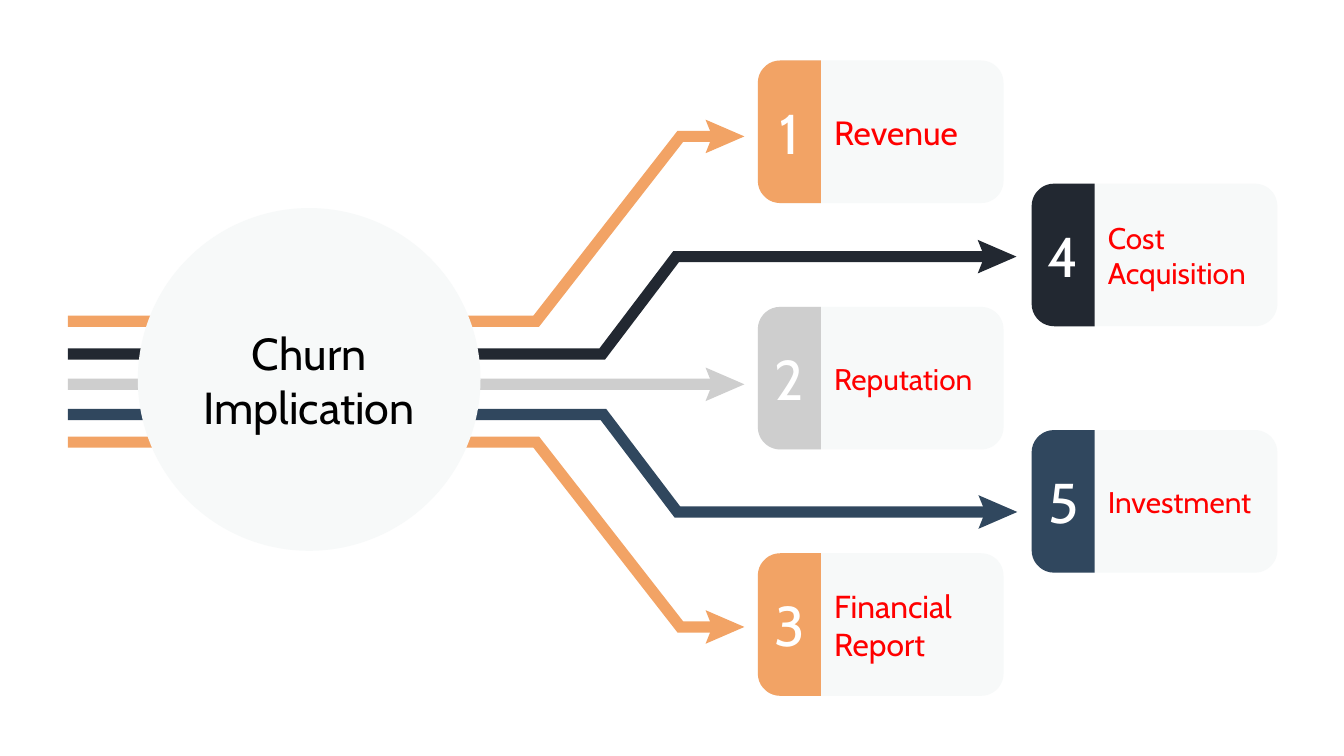
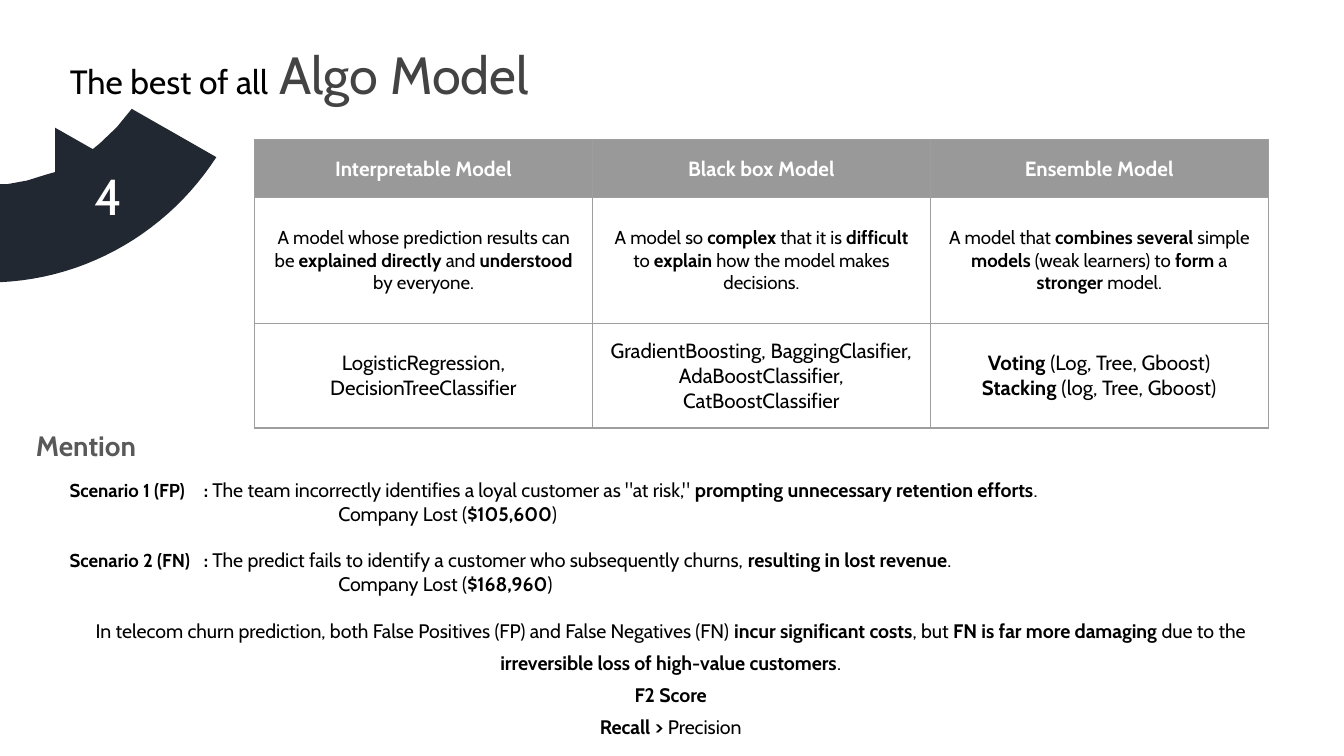
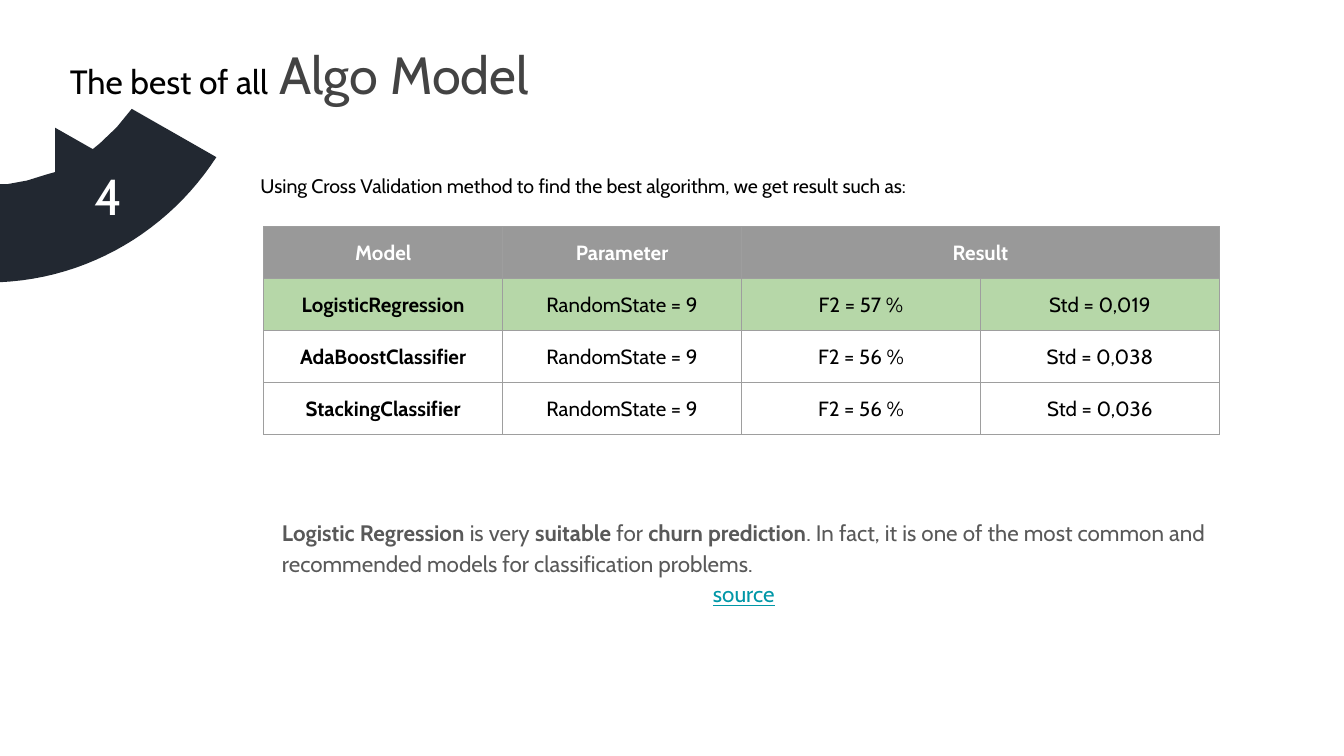
import math
from pptx import Presentation
from pptx.dml import color as dml
from pptx.enum import shapes, text
from pptx.oxml import parse_xml
from pptx.oxml import ns
from pptx.util import Pt

FONT = "Cabin"
ORANGE, DARK, NAVY, SILVER = "F2A365", "222831", "30475E", "CECECE"
PALE, BLACK, WHITE, GRAY, RED = "F7F9F9", "000000", "FFFFFF", "595959", "FF0000"
HEADER, GREEN, BORDER, TEAL = "999999", "B6D7A8", "9E9E9E", "0097A7"
LEFT, CENTER, JUSTIFY = (text.PP_ALIGN.LEFT, text.PP_ALIGN.CENTER,
                         text.PP_ALIGN.JUSTIFY)
TOP, MIDDLE = text.MSO_ANCHOR.TOP, text.MSO_ANCHOR.MIDDLE


def set_color(fill, value):
    fill.solid()
    fill.fore_color.rgb = dml.RGBColor.from_string(value)


def write(holder, lines, size, color, align=LEFT, anchor=MIDDLE, spacing=None):
    """Fill a text frame or table cell; ** switches bold on and off."""
    sides = ("margin_left", "margin_right", "margin_top", "margin_bottom")
    box_format = {"vertical_anchor": anchor, **{side: Pt(7.2) for side in sides}}
    for name, value in box_format.items():
        setattr(holder, name, value)
    frame = getattr(holder, "text_frame", holder)
    frame.word_wrap = True
    for index, line in enumerate(lines):
        paragraph = frame.add_paragraph() if index else frame.paragraphs[0]
        paragraph.alignment = align
        paragraph.line_spacing = spacing
        for part, words in enumerate(line.split("**")):
            if not words:
                continue
            run = paragraph.add_run()
            run.text = words
            run_format = {"name": FONT, "size": Pt(size), "bold": part % 2 == 1}
            for name, value in run_format.items():
                setattr(run.font, name, value)
            set_color(run.font.fill, color)


presentation = Presentation()
presentation.slide_width, presentation.slide_height = Pt(720), Pt(405)
TITLE_ONLY, BLANK = presentation.slide_layouts[5], presentation.slide_layouts[6]
filled = []  # (shape, colour) pairs, painted together at the end

# Slide 1: streams through the circle; each row is 66 pt below the last
slide = presentation.slides.add_slide(BLANK)
# number, label, label size, colour, column, row, stream level, arrow level, bends, end
streams = [
    ("2", "Reputation", 16, SILVER, 0, 2, 205.9, 205.9, 285.8, 363, 384.6),
    ("1", "Revenue", 18, ORANGE, 0, 0, 172.1, 73.1, 285.8, 363, 384.6),
    ("4", "Cost Acquisition", 16, DARK, 1, 1, 189.7, 137.5, 321.1, 360.7, 530.4),
    ("5", "Investment", 16, NAVY, 1, 3, 222.1, 274.3, 321.8, 361.4, 530.8),
    ("3", "Financial Report", 17, ORANGE, 0, 4, 236.9, 335.9, 285.8, 363, 384.6),
]
for *_, color, column, row, level, target, bend, turn, end in streams:
    half = 3 if target > level else -3
    band = [(turn, target + half), (bend, level + half), (36.4, level + half),
            (36.4, level - half), (bend + 3, level - half),
            (turn + 3, target - half), (end, target - half), (end, target + half)]
    head = [(end - 6.6, target - 9), (end - 3, target),
            (end - 6.6, target + 9), (end + 14.2, target)]
    for outline in (band, head):
        points = [(Pt(x), Pt(y)) for x, y in outline]
        builder = slide.shapes.build_freeform(*points[0])
        builder.add_line_segments(points[1:])
        filled.append((builder.convert_to_shape(), color))

circle = slide.shapes.add_shape(
    shapes.MSO_SHAPE.OVAL, Pt(73.8), Pt(111.5), Pt(183.6), Pt(183.6))
filled.append((circle, PALE))
write(circle.text_frame, ["Churn Implication"], 24, BLACK, CENTER)

# Numbered cards
card_width, card_height, tab_width, radius = 131.6, 76.4, 33.8, 12
for number, label, size, color, column, row, *_ in streams:
    x, y = 406 + 146.7 * column, 32.4 + 66 * row
    card = slide.shapes.add_shape(shapes.MSO_SHAPE.ROUNDED_RECTANGLE,
                                  Pt(x), Pt(y), Pt(card_width), Pt(card_height))
    card.adjustments[0] = radius / card_height
    filled.append((card, PALE))

    outline = [(x + tab_width, y)]
    for first_angle, center_y in ((270, y + radius), (180, y + card_height - radius)):
        for step in range(0, 91, 10):
            angle = math.radians(first_angle - step)
            outline.append((x + radius + radius * math.cos(angle),
                            center_y + radius * math.sin(angle)))
    outline.append((x + tab_width, y + card_height))
    points = [(Pt(px), Pt(py)) for px, py in outline]
    builder = slide.shapes.build_freeform(*points[0])
    builder.add_line_segments(points[1:])
    tab = builder.convert_to_shape()
    filled.append((tab, color))
    write(tab.text_frame, [number], 30, WHITE, CENTER)

    caption = slide.shapes.add_textbox(Pt(x + tab_width), Pt(y),
                                       Pt(card_width - tab_width), Pt(card_height))
    write(caption.text_frame, [label], size, RED)

# Slides 2 and 3: shared title and numbered ring segment
curve = [(0, 151.2), (48.2, 149), (90.7, 123.1), (115.9, 84.2)]
ring = []
for step in range(25):
    t = step / 24
    weights = [math.comb(3, k) * t ** k * (1 - t) ** (3 - k) for k in range(4)]
    ring.append(tuple(sum(w * point[axis] for w, point in zip(weights, curve))
                      for axis in (0, 1)))
ring += [(70.6, 58.3), (62.5, 68.2), (53.3, 77), (49.7, 79.9), (29.5, 68.4),
         (29.5, 92.2), (24.5, 93.6), (14.6, 96.7), (4.3, 98.6), (0, 98.6)]
ring_points = [(Pt(x), Pt(y)) for x, y in ring]

model_slides = [presentation.slides.add_slide(TITLE_ONLY) for _ in range(2)]
for slide in model_slides:
    title = slide.shapes.title
    place = {"left": 30.2, "top": 20.2, "width": 608.4, "height": 38.2}
    for name, value in place.items():
        setattr(title, name, Pt(value))
    title.text_frame.auto_size = text.MSO_AUTO_SIZE.NONE
    write(title.text_frame, ["The best of all"], 18, BLACK)
    topic = title.text_frame.paragraphs[0].add_run()
    topic.text = " Algo Model"
    topic.font.name, topic.font.size = FONT, Pt(28)
    set_color(topic.font.fill, "434343")

    builder = slide.shapes.build_freeform(*ring_points[0])
    builder.add_line_segments(ring_points[1:])
    segment = builder.convert_to_shape()
    filled.append((segment, DARK))
    write(segment.text_frame, ["4"], 27, WHITE, CENTER)

for shape, color in filled:
    set_color(shape.fill, color)
    shape.line.fill.background()
    shape.shadow.inherit = False

# Tables: left, top, column width, row heights, text sizes, row fills, cell texts
model_types = [
    ["**Interpretable Model", "**Black box Model", "**Ensemble Model"],
    ["A model whose prediction results can be **explained directly **and "
     "**understood **by everyone.",
     "A model so **complex **that it is **difficult **to **explain **how the "
     "model makes decisions.",
     "A model that **combines several **simple **models **(weak learners) to "
     "**form **a **stronger **model."],
    ["LogisticRegression, DecisionTreeClassifier",
     "GradientBoosting, BaggingClasifier, AdaBoostClassifier, CatBoostClassifier",
     "**Voting **(Log, Tree, Gboost)\n**Stacking **(log, Tree, Gboost)"],
]
results = [
    ["**Model", "**Parameter", "**Result", ""],
    ["**LogisticRegression", "RandomState = 9", "F2 = 57 %", "Std = 0,019"],
    ["**AdaBoostClassifier", "RandomState = 9", "F2 = 56 %", "Std = 0,038"],
    ["**StackingClassifier", "RandomState = 9", "F2 = 56 %", "Std = 0,036"],
]
table_plans = [
    (136.4, 74.9, 181, [31, 67.6, 55.8], [11, 10, 11],
     [HEADER, None, None], model_types),
    (141.3, 121.4, 128, [18.7, 26, 26, 26], [11] * 4,
     [HEADER, GREEN, None, None], results),
]
for slide, plan in zip(model_slides, table_plans):
    left, top, column_width, heights, sizes, fills, rows = plan
    columns = len(rows[0])
    table = slide.shapes.add_table(len(rows), columns, Pt(left), Pt(top),
                                   Pt(column_width * columns), Pt(sum(heights))).table
    table.first_row = table.horz_banding = False
    for column in table.columns:
        column.width = Pt(column_width)
    for r, row in enumerate(rows):
        table.rows[r].height = Pt(heights[r])
        for c, words in enumerate(row):
            cell = table.cell(r, c)
            write(cell, words.split("\n"), sizes[r], BLACK if r else WHITE, CENTER)
            properties = cell._tc.get_or_add_tcPr()
            for side in "LRTB":
                properties.append(parse_xml(
                    f'<a:ln{side} {ns.nsdecls("a")} w="9525"><a:solidFill>'
                    f'<a:srgbClr val="{BORDER}"/></a:solidFill></a:ln{side}>'))
            if fills[r]:
                set_color(cell.fill, fills[r])
            else:
                cell.fill.background()
table.cell(0, 2).merge(table.cell(0, 3))  # "Result" spans both result columns

# Slide 2: scenarios and conclusion
slide = model_slides[0]
mention = slide.shapes.add_textbox(Pt(12.2), Pt(222.5), Pt(384.5), Pt(32.4))
write(mention.text_frame, ["**Mention"], 15, GRAY, anchor=TOP)

scenarios = [
    (249.1, "**Scenario 1 (FP)\t: **", "The team incorrectly identifies a loyal "
     'customer as "at risk," **prompting unnecessary retention efforts**.',
     "Company Lost (**$105,600**)"),
    (286.6, "**Scenario 2 (FN)\t: **", "The predict fails to identify a customer "
     "who subsequently churns, **resulting in lost revenue**.",
     "Company Lost (**$168,960**)"),
]
for top, name, story, loss in scenarios:
    box = slide.shapes.add_textbox(Pt(30.2), Pt(top), Pt(585.4), Pt(40.3))
    write(box.text_frame, [name + story, loss], 10.5, BLACK, anchor=TOP)
    story_line, loss_line = box.text_frame.paragraphs
    story_line.runs[0].font.size = Pt(10)
    story_line._p.get_or_add_pPr().append(parse_xml(
        f'<a:tabLst {ns.nsdecls("a")}><a:tab pos="{Pt(72)}" algn="l"/></a:tabLst>'))
    loss_line._p.get_or_add_pPr().set("marL", str(Pt(144)))

conclusion = slide.shapes.add_textbox(Pt(34.6), Pt(339.1), Pt(649.4), Pt(44.6))
write(conclusion.text_frame, [
    "In telecom churn prediction, both False Positives (FP) and False Negatives (FN) "
    "**incur significant costs**, but **FN is far more damaging** due to the "
    "**irreversible loss of high-value customers**.",
    "**F2 Score", "**Recall >** Precision"], 10.5, BLACK, CENTER, spacing=1.36)

# Slide 3: introduction and verdict
slide = model_slides[1]
introduction = slide.shapes.add_textbox(Pt(132.5), Pt(84.2), Pt(551.5), Pt(26))
write(introduction.text_frame,
      ["Using Cross Validation method to find the best algorithm, "
       "we get result such as:"], 10.5, BLACK, spacing=1.36)

verdict = slide.shapes.add_textbox(Pt(144), Pt(268.6), Pt(509), Pt(62.6))
write(verdict.text_frame, [
    "**Logistic Regression** is very **suitable **for **churn prediction**. In fact, "
    "it is one of the most common and recommended models for classification problems.",
    "source"], 12, GRAY, JUSTIFY, TOP, 1.15)
source = verdict.text_frame.paragraphs[1]
source.alignment = CENTER
source.runs[0].font.underline = True
set_color(source.runs[0].font.fill, TEAL)

presentation.save("out.pptx")
